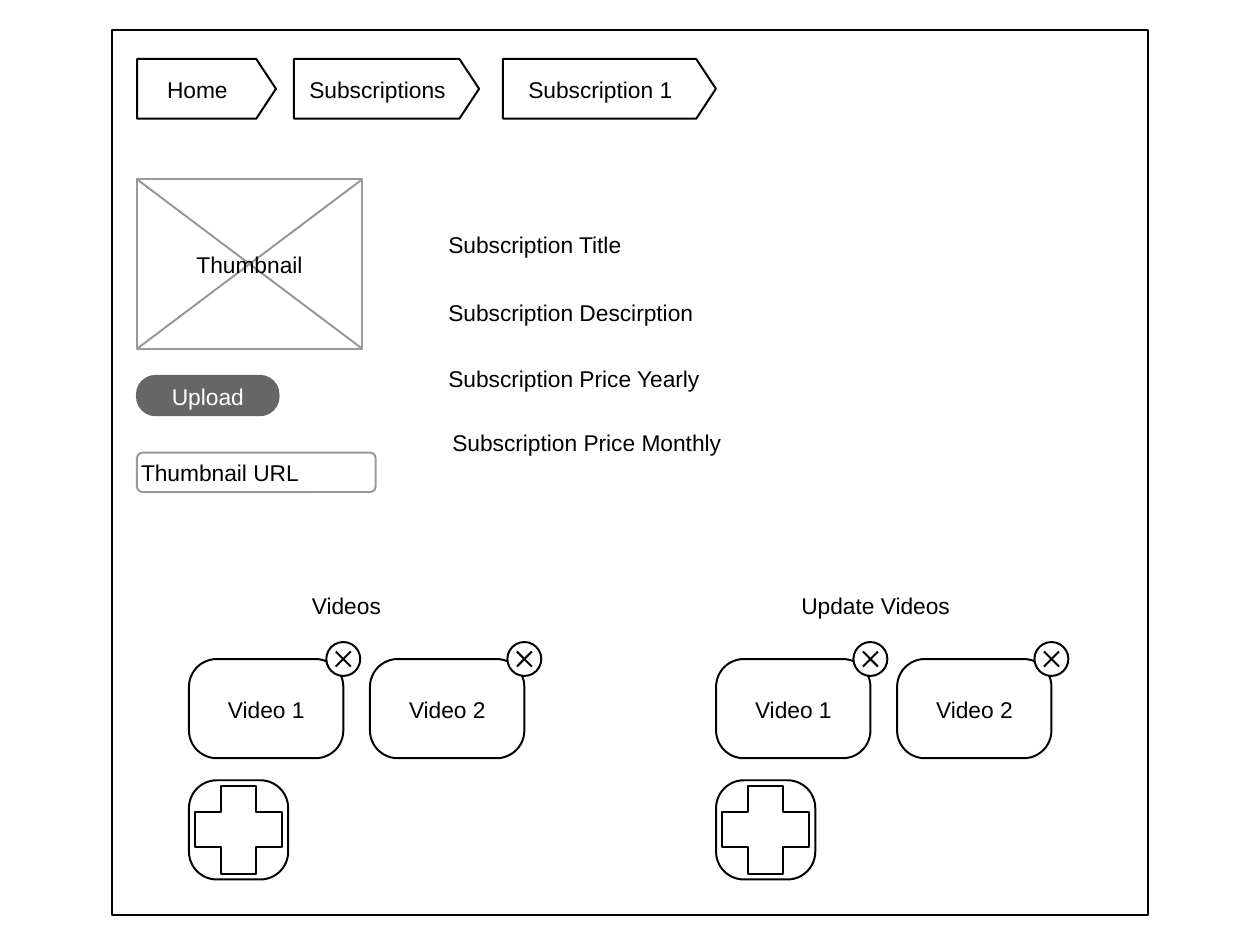
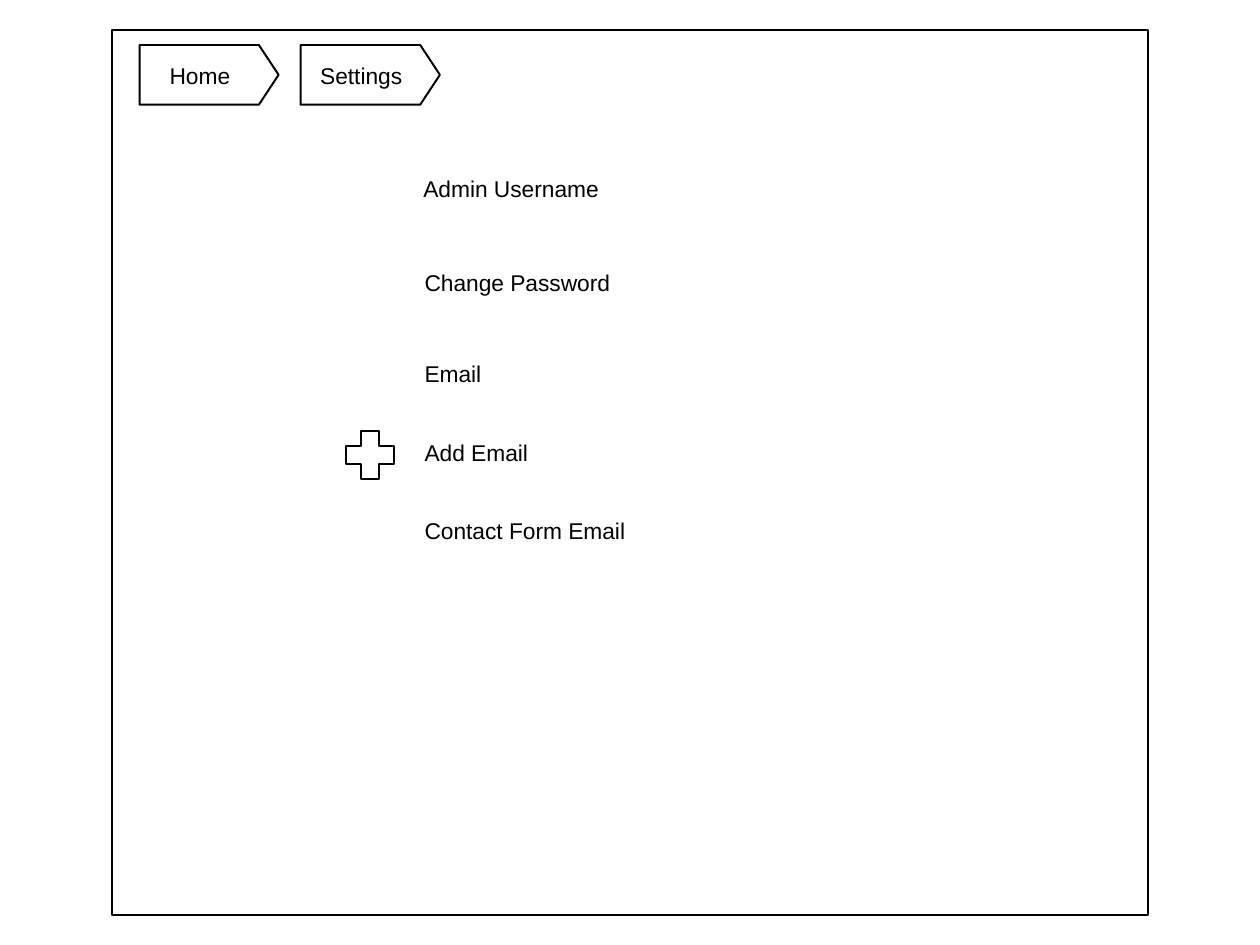
"""Build two admin wireframes: a subscription page and a settings page."""
from lxml import etree
from pptx import Presentation
from pptx.dml.color import RGBColor
from pptx.enum import shapes, text
from pptx.oxml import ns
from pptx.util import Pt

rgb = RGBColor.from_string
MSO = shapes.MSO_SHAPE
ALIGN = text.PP_ALIGN
BLACK, WHITE, GREY, DARK = "000000", "FFFFFF", "999999", "666666"
LINE_W = 1.13
TEXT_H = 15.8
FRAME_FORMAT = {
    "margin_left": 0,
    "margin_right": 0,
    "margin_top": 0,
    "margin_bottom": 0,
    "word_wrap": True,
    "vertical_anchor": text.MSO_ANCHOR.MIDDLE,
}
FONT_FORMAT = {"name": "Arial", "size": Pt(13)}


def draw(s, kind, x, y, w, h, adj=None, fill=WHITE, line=BLACK):
    sp = s.shapes.add_shape(kind, Pt(x), Pt(y), Pt(w), Pt(h))
    sp.shadow.inherit = False
    sp.fill.solid()
    sp.fill.fore_color.rgb = rgb(fill)
    sp.line.color.rgb = rgb(line)
    sp.line.width = Pt(LINE_W)
    if adj is not None:
        sp.adjustments[0] = adj


def write(s, words, x, y, w, align=ALIGN.LEFT, color=BLACK):
    tf = s.shapes.add_textbox(Pt(x), Pt(y), Pt(w), Pt(TEXT_H)).text_frame
    for key, value in FRAME_FORMAT.items():
        setattr(tf, key, value)
    p = tf.paragraphs[0]
    p.alignment = align
    r = p.add_run()
    r.text = words
    for key, value in FONT_FORMAT.items():
        setattr(r.font, key, value)
    r.font.color.rgb = rgb(color)


prs = Presentation()
prs.slide_width, prs.slide_height = Pt(720), Pt(540)

pages = [
    (33.7, [("Home", 78.3, 79.4), ("Subscriptions", 168, 105.8), ("Subscription 1", 287.4, 121.7)]),
    (25.7, [("Home", 79.8, 79.4), ("Settings", 171.8, 79.6)]),
]
for top, crumbs in pages:
    s = prs.slides.add_slide(prs.slide_layouts[6])
    draw(s, MSO.RECTANGLE, 64, 17.1, 592, 505.7)
    for words, x, w in crumbs:
        draw(s, MSO.PENTAGON, x, top, w, 34.1, 0.33)
        write(s, words, x + 1, top + 9.3, w - 12.5, ALIGN.CENTER)
subscription, settings = prs.slides

s = subscription
for words, x, y in [
    ("Subscription Title", 256.2, 131.6),
    ("Subscription Descirption", 256.2, 170.9),
    ("Subscription Price Yearly", 256.2, 208.4),
    ("Subscription Price Monthly", 258.5, 245),
    ("Videos", 178.2, 337.8),
    ("Update Videos", 457.9, 337.8),
]:
    write(s, words, x, y, 176)

draw(s, MSO.ROUNDED_RECTANGLE, 78.3, 214.8, 80.9, 22.5, 0.47, DARK, DARK)
write(s, "Upload", 78.3, 218.4, 80.9, ALIGN.CENTER, WHITE)
draw(s, MSO.ROUNDED_RECTANGLE, 78.3, 258.7, 136.4, 22.5, 0.14, line=GREY)
write(s, "Thumbnail URL", 80.6, 262.2, 132)

CARD_TOP, CARD_W, CARD_H, CARD_PITCH = 376.6, 88.2, 56.7, 103.45
ADD_TOP, BADGE, PLUS = 445.9, 19.4, 50
crossed = [(MSO.RECTANGLE, 78.3, 102.5, 128.7, 96.8, 0, GREY)]
for left in (108, 409.2):
    for i in range(2):
        x = left + i * CARD_PITCH
        draw(s, MSO.ROUNDED_RECTANGLE, x, CARD_TOP, CARD_W, CARD_H, 0.28)
        write(s, f"Video {i + 1}", x + 1, CARD_TOP + 20.8, CARD_W - 2, ALIGN.CENTER)
        crossed.append((MSO.OVAL, x + CARD_W - BADGE / 2, CARD_TOP - BADGE / 2, BADGE, BADGE, 5.4, BLACK))
    draw(s, MSO.ROUNDED_RECTANGLE, left, ADD_TOP, CARD_H, CARD_H, 0.28)
    inset = (CARD_H - PLUS) / 2
    draw(s, MSO.CROSS, left + inset, ADD_TOP + inset, PLUS, PLUS, 0.3)

for kind, x, y, w, h, inset, color in crossed:
    draw(s, kind, x, y, w, h, line=color)
    x1, x2, y1, y2 = x + inset, x + w - inset, y + inset, y + h - inset
    for start, end in ((x1, x2), (x2, x1)):
        c = s.shapes.add_connector(shapes.MSO_CONNECTOR.STRAIGHT, Pt(start), Pt(y1), Pt(end), Pt(y2))
        c.line.color.rgb = rgb(color)
        c.line.width = Pt(LINE_W)
        etree.SubElement(c._element.spPr, ns.qn("a:effectLst"))
write(s, "Thumbnail", 83.5, 143.4, 118.1, ALIGN.CENTER)

s = settings
draw(s, MSO.CROSS, 197.7, 246.3, 27.7, 27.5, 0.31)
for words, x, y in [
    ("Admin Username", 241.9, 99.6),
    ("Change Password", 242.6, 153.3),
    ("Email", 242.6, 205.2),
    ("Add Email", 242.6, 250.4),
    ("Contact Form Email", 242.6, 295.1),
]:
    write(s, words, x, y, 148)

prs.save("out.pptx")
